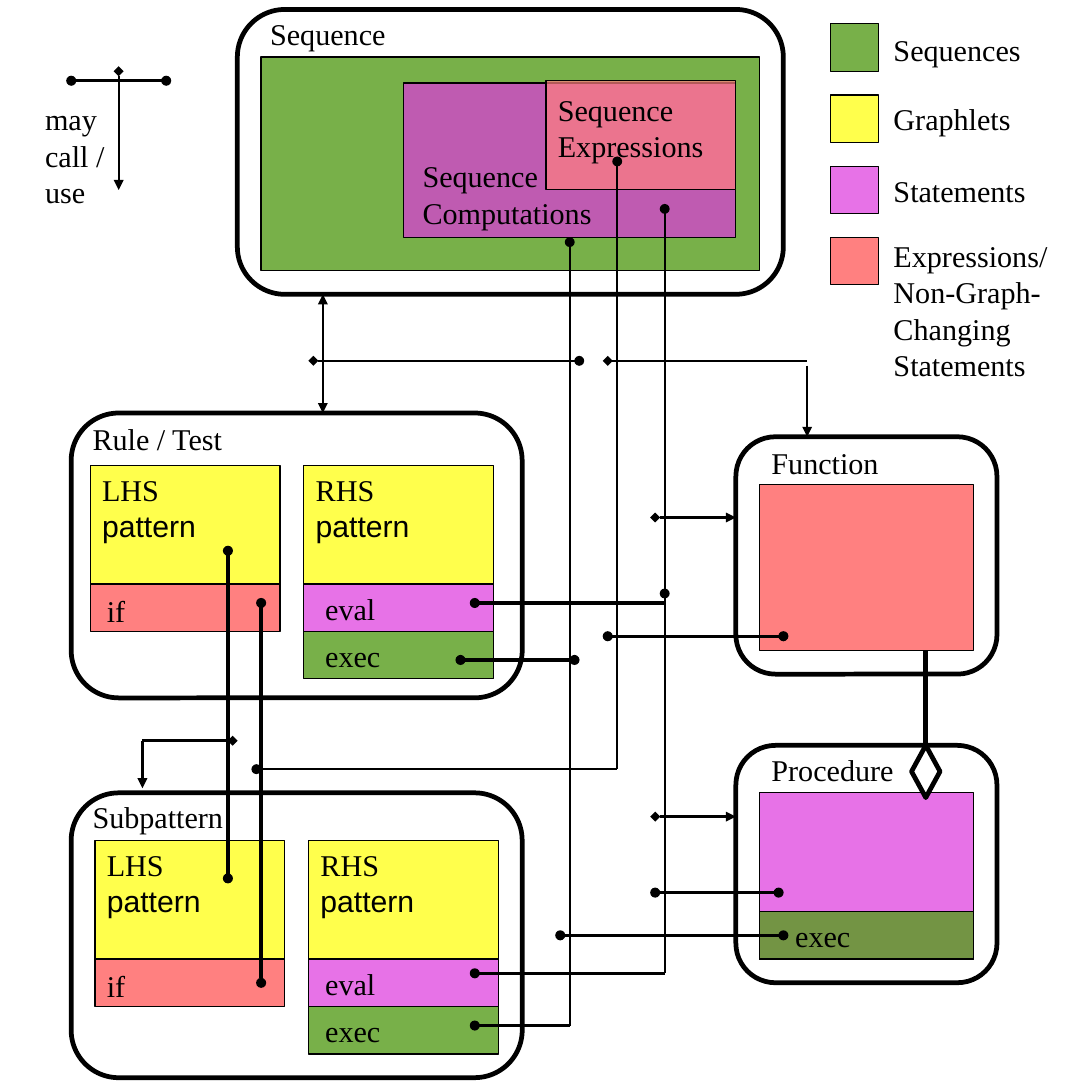
from dataclasses import dataclass
from lxml import etree
from pptx import Presentation
from pptx import util as u
from pptx.dml import color
from pptx.enum import shapes, text
from pptx.oxml import ns
from pptx.shapes import autoshape, shapetree

KIND = shapes.MSO_SHAPE


@dataclass(frozen=True)
class Paint:
    tone: str
    alpha: int = 100


@dataclass(frozen=True)
class Theme:
    ink: str = "000000"
    paper: Paint = Paint("FFFFFF")
    green: Paint = Paint("579D1C", 80)
    yellow: Paint = Paint("FFFF00", 70)
    pink: Paint = Paint("DE37DE", 70)
    rose: Paint = Paint("FF8080", 70)
    red: Paint = Paint("FF8080")
    serif: str = "Times New Roman"
    sans: str = "Arial"
    size: float = 18
    hair: float = 0
    mid: float = 1.42
    bold: float = 2.83


LOOK = Theme()


@dataclass(frozen=True)
class Box:
    x: float
    y: float
    w: float
    h: float
    fill: Paint | None = None
    line: float = LOOK.hair
    kind: KIND = KIND.RECTANGLE


@dataclass(frozen=True)
class Label:
    x: float
    y: float
    w: float
    h: float
    words: tuple[str, ...]
    last: str = LOOK.serif


@dataclass(frozen=True)
class Link:
    x1: float
    y1: float
    x2: float
    y2: float
    head: str = ""
    tail: str = ""
    line: float = LOOK.mid


def frame(x: float, y: float, w: float, h: float) -> Box:
    return Box(x, y, w, h, None, LOOK.bold, KIND.ROUNDED_RECTANGLE)


def thin(x1: float, y1: float, x2: float, y2: float, tail: str = "") -> Link:
    return Link(x1, y1, x2, y2, "oval", tail, LOOK.hair)


def panel(x: float, y: float) -> tuple[list[Box], list[Label]]:
    right = x + 4.5
    boxes = [
        Box(x, y, 4, 2.5, LOOK.yellow),
        Box(right, y, 4, 2.5, LOOK.yellow),
        Box(x, y + 2.5, 4, 1, LOOK.red),
        Box(right, y + 2.5, 4, 1, LOOK.pink),
        Box(right, y + 3.5, 4, 1, LOOK.green),
    ]
    labels = [
        Label(x, y, 2.64, 2.36, ("LHS", "pattern"), LOOK.sans),
        Label(right, y, 2.64, 2.36, ("RHS", "pattern"), LOOK.sans),
        Label(2, y + 2.55, 0.97, 1.65, ("if",)),
        Label(6.6, y + 2.5, 1.65, 1.65, ("eval",)),
        Label(6.6, y + 3.5, 2.4, 1, ("exec",)),
    ]
    return boxes, labels


def draw_box(tree: shapetree.SlideShapes, box: Box) -> autoshape.Shape:
    item = tree.add_shape(box.kind, u.Cm(box.x), u.Cm(box.y), u.Cm(box.w), u.Cm(box.h))
    item.shadow.inherit = False
    item.line.color.rgb = color.RGBColor.from_string(LOOK.ink)
    item.line.width = u.Pt(box.line)
    if box.fill is None:
        item.fill.background()
        return item
    item.fill.solid()
    item.fill.fore_color.rgb = color.RGBColor.from_string(box.fill.tone)
    if box.fill.alpha < 100:
        tone = item.element.spPr.find(ns.qn("a:solidFill")).find(ns.qn("a:srgbClr"))
        etree.SubElement(tone, ns.qn("a:alpha"), val=str(box.fill.alpha * 1000))
    return item


def draw_text(tree: shapetree.SlideShapes, label: Label) -> None:
    item = tree.add_textbox(u.Cm(label.x), u.Cm(label.y), u.Cm(label.w), u.Cm(label.h))
    body = item.text_frame
    body.word_wrap = True
    body.auto_size = text.MSO_AUTO_SIZE.SHAPE_TO_FIT_TEXT
    for i, word in enumerate(label.words):
        para = body.add_paragraph() if i else body.paragraphs[0]
        run = para.add_run()
        run.text = word
        run.font.name = label.last if i else LOOK.serif
        run.font.size = u.Pt(LOOK.size)
        run.font.color.rgb = color.RGBColor.from_string(LOOK.ink)


def draw_link(tree: shapetree.SlideShapes, link: Link) -> None:
    item = tree.add_connector(
        shapes.MSO_CONNECTOR.STRAIGHT,
        u.Cm(link.x1), u.Cm(link.y1), u.Cm(link.x2), u.Cm(link.y2),
    )
    item.line.color.rgb = color.RGBColor.from_string(LOOK.ink)
    item.line.width = u.Pt(link.line)
    props = item.element.spPr
    stroke = props.find(ns.qn("a:ln"))
    for end, mark in (("a:headEnd", link.head), ("a:tailEnd", link.tail)):
        if mark:
            etree.SubElement(stroke, ns.qn(end), type=mark)
    etree.SubElement(props, ns.qn("a:effectLst"))


FRAMES = [
    frame(15.5, 15.7, 5.5, 5),
    frame(15.5, 9.2, 5.5, 5),
    frame(1.5, 16.7, 9.5, 6),
    frame(1.5, 8.7, 9.5, 6),
    frame(5, 0.2, 11.5, 6),
]
BLOCKS = [
    Box(5.5, 1.2, 10.5, 4.5, LOOK.green),
    Box(8.5, 1.75, 7, 3.25, LOOK.pink),
    Box(11.5, 1.7, 4, 2.3, LOOK.rose),
    Box(16, 16.7, 4.5, 3.5, LOOK.pink),
    Box(16, 10.2, 4.5, 3.5, LOOK.red),
    Box(16, 19.2, 4.5, 1, LOOK.green),
]
TITLES = [
    Label(1.7, 8.74, 3.48, 1.65, ("Rule / Test",)),
    Label(1.7, 16.7, 3.48, 1.65, ("Subpattern",)),
    Label(16, 9.24, 2.95, 1.65, ("Function",)),
    Label(16, 15.7, 3.3, 1.65, ("Procedure",)),
    Label(5.44, 0.2, 3.15, 1.65, ("Sequence",)),
    Label(16.5, 19.2, 2.4, 1, ("exec",)),
    Label(8.65, 3.2, 4.35, 2.36, ("Sequence", "Computations")),
    Label(11.5, 1.8, 3.8, 1.7, ("Sequence", "Expressions")),
    Label(0.7, 2, 2.3, 4, ("may call / use",)),
]
LINKS = [
    thin(4.8, 11.6, 4.8, 15.7),
    thin(5.5, 12.7, 5.5, 16.2),
    thin(10, 20.5, 14, 20.5),
    thin(9.7, 13.9, 12.1, 13.9, "oval"),
    Link(13, 3.4, 13, 12, "oval"),
    thin(16.4, 18.8, 13.8, 18.8, "oval"),
    Link(6.8, 7.7, 6.8, 8.7, "", "triangle"),
    Link(12.2, 7.6, 6.6, 7.6, "oval", "diamond"),
    Link(5.4, 16.2, 13, 16.2, "oval"),
    Link(19.5, 16.7, 19.5, 13.7, line=LOOK.bold),
    Link(13.8, 17.2, 15.5, 17.2, "diamond", "triangle"),
    Link(12.8, 7.6, 17, 7.6, "diamond"),
    Link(13, 11.7, 13, 16.2),
    Link(12, 7.6, 12, 21.6),
    Link(14, 12.5, 14, 20.5, "oval"),
    thin(5.5, 20.7, 5.5, 16.2),
    thin(10, 21.6, 12, 21.6),
    thin(4.8, 18.5, 4.8, 15.2),
    Link(4.9, 15.6, 3, 15.6, "diamond"),
    thin(11.8, 19.7, 16.5, 19.7, "oval"),
    Link(3, 15.6, 3, 16.6, "", "triangle"),
    thin(10, 12.7, 14, 12.7),
    Link(6.8, 7.7, 6.8, 6.2, "", "triangle"),
    Link(14, 4.4, 14, 13.9, "oval"),
    Link(12, 5.1, 12, 13.7, "oval"),
    thin(16.5, 13.4, 12.8, 13.4, "oval"),
    Link(13.8, 10.9, 15.5, 10.9, "diamond", "triangle"),
    Link(17, 7.7, 17, 9.2, "", "triangle"),
    thin(1.5, 1.7, 3.5, 1.7, "oval"),
    Link(2.5, 1.5, 2.5, 4, "diamond", "triangle"),
]
LEGEND = [
    (LOOK.green, 0.53, ("Sequences",)),
    (LOOK.yellow, 2, ("Graphlets",)),
    (LOOK.pink, 3.5, ("Statements",)),
    (LOOK.red, 4.88, ("Expressions/", "Non-Graph-Changing", "Statements")),
]


def main() -> None:
    deck = Presentation()
    deck.slide_width = deck.slide_height = u.Cm(23)
    tree = deck.slides.add_slide(deck.slide_layouts[6]).shapes
    rule, sub = panel(1.9, 9.8), panel(2, 17.7)
    keys = [Box(17.5, 0.5 + 1.5 * i, 1, 1, fill) for i, (fill, _, _) in enumerate(LEGEND)]
    names = [Label(18.57, y, 4.43, 1.16, words) for _, y, words in LEGEND]
    for box in FRAMES + BLOCKS + rule[0] + sub[0] + keys:
        draw_box(tree, box)
    for label in TITLES + rule[1] + sub[1] + names:
        draw_text(tree, label)
    for link in LINKS:
        draw_link(tree, link)
    draw_box(tree, Box(19.2, 15.7, 0.6, 1.1, LOOK.paper, LOOK.bold, KIND.DIAMOND))
    deck.save("out.pptx")


if __name__ == "__main__":
    main()
